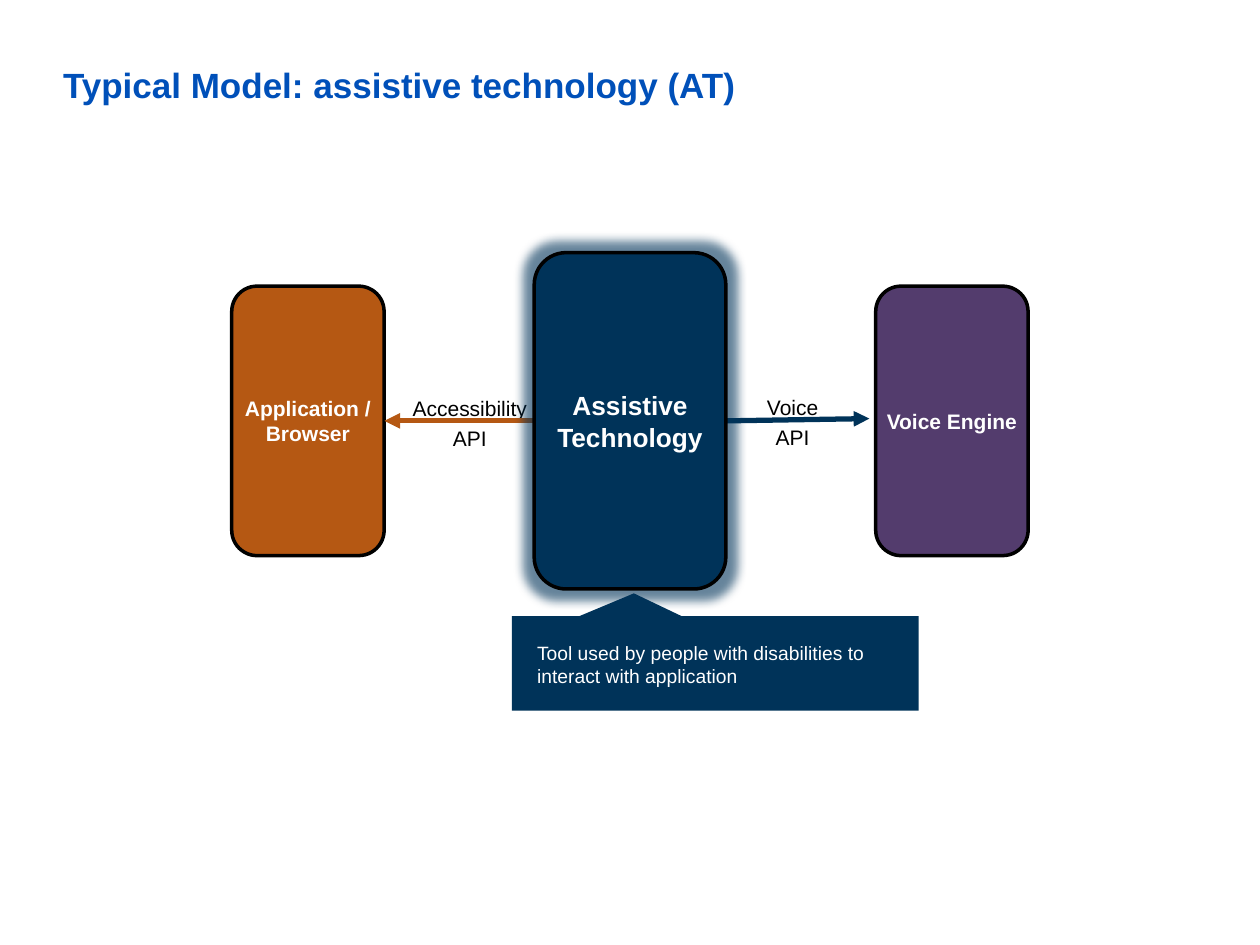
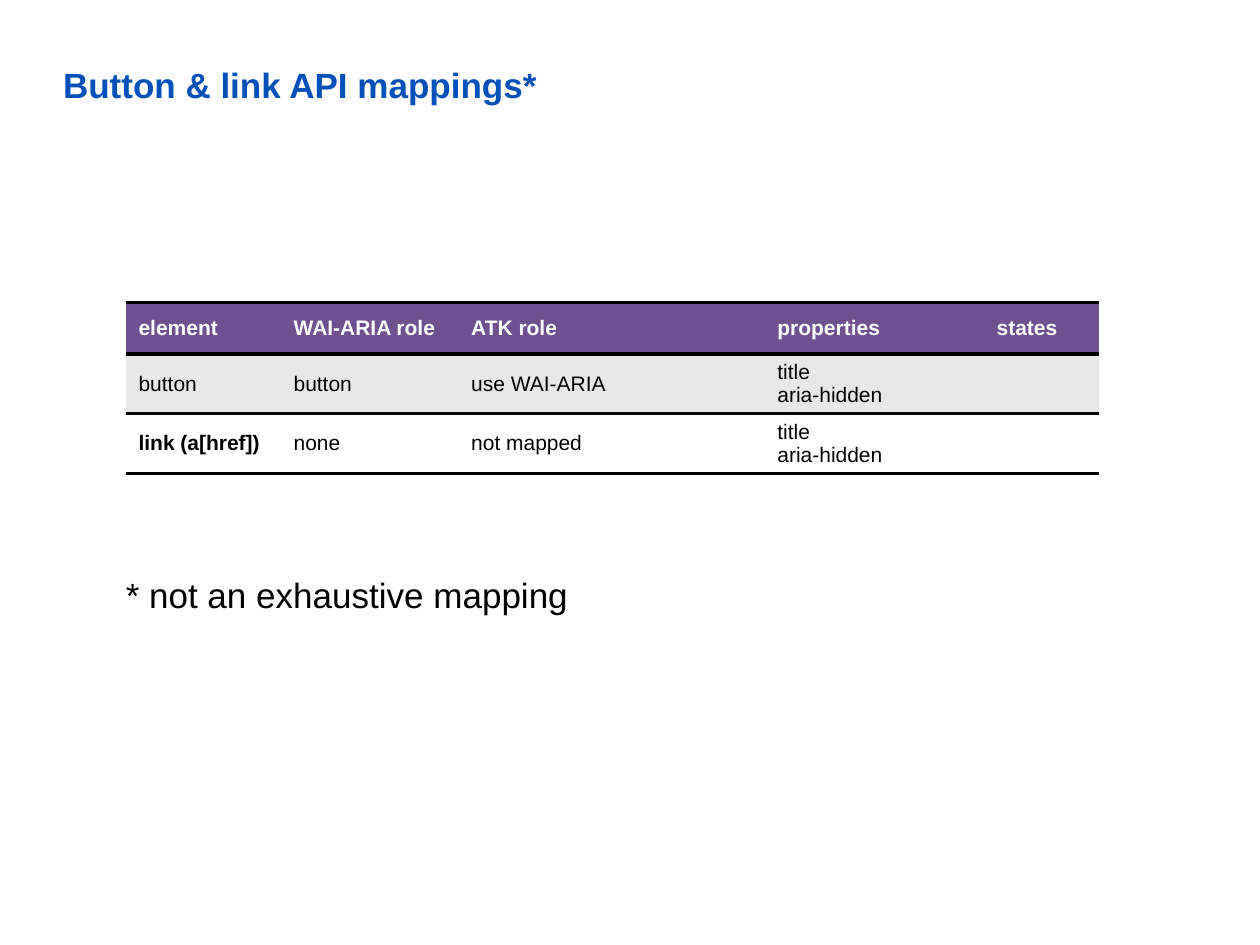
import pptx
import pptx.util
import pptx.dml.color
import pptx.enum.shapes
import pptx.enum.text
import pptx.oxml
import pptx.oxml.ns

Pt = pptx.util.Pt
Shapes = pptx.enum.shapes.MSO_SHAPE
Anchor = pptx.enum.text.MSO_ANCHOR
Align = pptx.enum.text.PP_ALIGN

COLORS = {
    "title": "0050B9",
    "application": "B55813",
    "assistive": "003359",
    "voice": "533C6D",
    "header": "6F5091",
    "band": "E7E7E7",
    "white": "FFFFFF",
    "black": "000000",
}
FONT = "Arial"
TITLE_AREA = (36, 36, 648, 66.24)
BOX_INSETS = (0, 3.6, 0, 3.6)
CELL_INSETS = (7.2, 3.6, 7.2, 3.6)
NO_TABLE_STYLE = "{2D5ABB26-0587-4C30-8999-92F81FD0307C}"

MIDDLE = 240.5
SIDE_SIZE = (87.1, 154)
CENTER_SIZE = (109.5, 192.2)
CENTER_LEFT = 305.25

COLUMN_WIDTHS = (88.6, 101.5, 175, 125.3, 65.5)
ROW_HEIGHT = 29.5
MAPPINGS = (
    ("element", "WAI-ARIA role", "ATK role", "properties", "states"),
    ("button", "button", "use WAI-ARIA", "title\naria-hidden", ""),
    ("link (a[href])", "none", "not mapped", "title\naria-hidden", ""),
)


def rgb(name):
    return pptx.dml.color.RGBColor.from_string(COLORS[name])


def xml(tag, attributes="", content=""):
    namespace = pptx.oxml.ns.nsdecls("a")
    return pptx.oxml.parse_xml(f"<a:{tag} {namespace} {attributes}>{content}</a:{tag}>")


def color_xml(name, content=""):
    return f'<a:srgbClr val="{COLORS[name]}">{content}</a:srgbClr>'


def set_all(target, values):
    for name, value in values.items():
        setattr(target, name, value)


def write(frame, text, size, color, bold=False, align=Align.LEFT, spacing=None):
    frame.text = text
    for paragraph in frame.paragraphs:
        set_all(paragraph, {"alignment": align, "line_spacing": spacing})
        set_all(paragraph.font, {"name": FONT, "size": Pt(size), "bold": bold})
        paragraph.font.color.rgb = rgb(color)


def set_frame(frame, insets, anchor=Anchor.TOP):
    sides = ("margin_left", "margin_top", "margin_right", "margin_bottom")
    set_all(frame, dict(zip(sides, map(Pt, insets))))
    set_all(frame, {
        "word_wrap": True,
        "vertical_anchor": anchor,
        "auto_size": pptx.enum.text.MSO_AUTO_SIZE.NONE,
    })


def add_titled_slide(presentation, text):
    slide = presentation.slides.add_slide(presentation.slide_layouts[5])
    title = slide.shapes.title
    set_all(title, dict(zip(("left", "top", "width", "height"), map(Pt, TITLE_AREA))))
    set_frame(title.text_frame, (0, 0, 0, 0))
    write(title.text_frame, text, 20, "title", bold=True)
    return slide


def add_filled_shape(slide, kind, area, color):
    shape = slide.shapes.add_shape(kind, *map(Pt, area))
    shape.shadow.inherit = False
    shape.fill.solid()
    shape.fill.fore_color.rgb = rgb(color)
    return shape


def add_component(slide, text, left, size, color, text_size):
    """Rounded box centred on the row of components."""
    width, height = size
    area = (left, MIDDLE - height / 2, width, height)
    box = add_filled_shape(slide, Shapes.ROUNDED_RECTANGLE, area, color)
    box.line.color.rgb = rgb("black")
    box.line.width = Pt(2)
    set_frame(box.text_frame, BOX_INSETS, Anchor.MIDDLE)
    write(box.text_frame, text, text_size, "white", bold=True, align=Align.CENTER)
    return box


def add_glow(shape, color, radius):
    effects = shape.element.spPr.find(pptx.oxml.ns.qn("a:effectLst"))
    alpha = '<a:alpha val="60000"/>'
    effects.append(xml("glow", f'rad="{Pt(radius)}"', color_xml(color, alpha)))


def add_callout(slide, text, area, color, pointer):
    callout = add_filled_shape(slide, Shapes.RECTANGULAR_CALLOUT, area, color)
    callout.line.fill.background()
    for index, value in enumerate(pointer):
        callout.adjustments[index] = value
    set_frame(callout.text_frame, (14.4,) * 4)
    write(callout.text_frame, text, 11, "white")


def add_label(slide, text, area, size, align=Align.LEFT, spacing=None):
    label = slide.shapes.add_textbox(*map(Pt, area))
    set_frame(label.text_frame, CELL_INSETS)
    write(label.text_frame, text, size, "black", align=align, spacing=spacing)


def add_arrow(slide, start, end, color):
    straight = pptx.enum.shapes.MSO_CONNECTOR.STRAIGHT
    arrow = slide.shapes.add_connector(straight, *map(Pt, start + end))
    arrow.line.color.rgb = rgb(color)
    arrow.line.width = Pt(3)
    arrow.line._get_or_add_ln().append(xml("tailEnd", 'type="triangle"'))
    arrow.element.spPr.append(xml("effectLst"))


def add_cell_rules(cell, sides):
    """Black rules on the given sides; they must stand before the fill."""
    content = f"<a:solidFill>{color_xml('black')}</a:solidFill>"
    properties = cell._tc.get_or_add_tcPr()
    for index, side in enumerate(sides):
        properties.insert(index, xml(f"ln{side}", f'w="{Pt(2)}"', content))


def add_mapping_table(slide, left, top):
    rows, columns = len(MAPPINGS), len(COLUMN_WIDTHS)
    frame = slide.shapes.add_table(
        rows, columns, Pt(left), Pt(top), Pt(sum(COLUMN_WIDTHS)), Pt(ROW_HEIGHT * rows))
    table = frame.table
    table._tbl.tblPr.find(pptx.oxml.ns.qn("a:tableStyleId")).text = NO_TABLE_STYLE
    for column, width in zip(table.columns, COLUMN_WIDTHS):
        column.width = Pt(width)
    fills = ("header", "band", "white")
    rules = ("TB", "T", "B")
    for row_index, texts in enumerate(MAPPINGS):
        table.rows[row_index].height = Pt(ROW_HEIGHT)
        is_header = row_index == 0
        for column_index, text in enumerate(texts):
            cell = table.cell(row_index, column_index)
            cell.vertical_anchor = Anchor.MIDDLE
            cell.fill.solid()
            cell.fill.fore_color.rgb = rgb(fills[row_index])
            add_cell_rules(cell, rules[row_index])
            bold = is_header or text.startswith("link")
            write(cell.text_frame, text, 12, "white" if is_header else "black", bold)


def build_model_slide(presentation):
    slide = add_titled_slide(presentation, "Typical Model: assistive technology (AT)")
    add_component(slide, "Application / Browser", 132.4, SIDE_SIZE, "application", 12)
    add_component(slide, "Voice Engine", 500.4, SIDE_SIZE, "voice", 12)

    center_right = CENTER_LEFT + CENTER_SIZE[0]
    add_label(slide, "Accessibility API", (224.6, 219.6, 87.8, 40.3), 12, Align.CENTER, 1.2)
    add_arrow(slide, (CENTER_LEFT, MIDDLE), (219.6, MIDDLE), "application")
    add_label(slide, "Voice\nAPI", (409, 218.9, 87.8, 40.3), 12, Align.CENTER, 1.2)
    add_arrow(slide, (center_right, MIDDLE), (496.8, 239.2), "assistive")

    assistive = add_component(
        slide, "Assistive Technology", CENTER_LEFT, CENTER_SIZE, "assistive", 15)
    add_glow(assistive, "assistive", 11)
    add_callout(
        slide, "Tool used by people with disabilities to interact with application",
        (292.5, 352, 232.5, 54), "assistive", (-0.2, -0.74))


def build_mapping_slide(presentation):
    slide = add_titled_slide(presentation, "Button & link API mappings*")
    add_mapping_table(slide, 72, 172.8)
    add_label(slide, "* not an exhaustive mapping", (64.8, 324, 348.5, 31.7), 20)


def main():
    presentation = pptx.Presentation()
    set_all(presentation, {"slide_width": Pt(720), "slide_height": Pt(540)})
    build_model_slide(presentation)
    build_mapping_slide(presentation)
    presentation.save("out.pptx")


if __name__ == "__main__":
    main()
